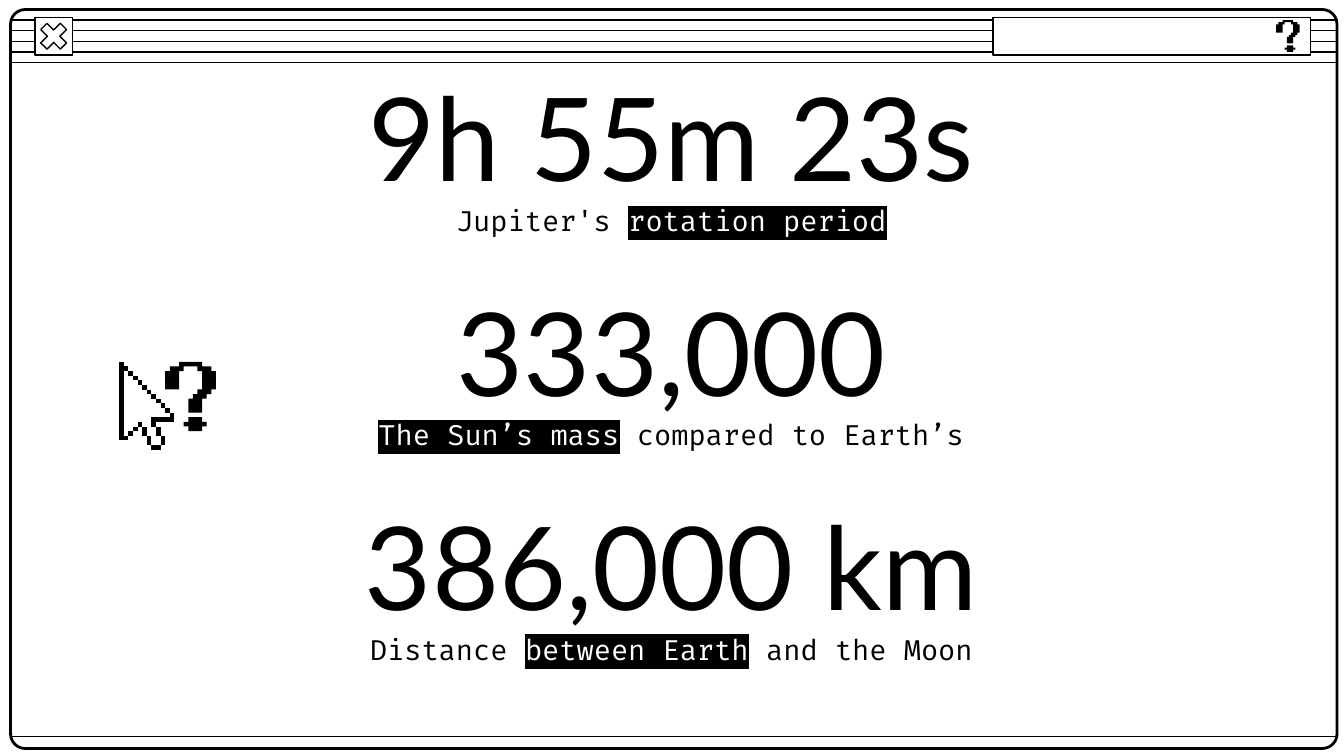
from dataclasses import dataclass

from lxml import etree
from pptx import Presentation
from pptx.dml.color import RGBColor
from pptx.enum.shapes import MSO_CONNECTOR, MSO_SHAPE
from pptx.enum.text import MSO_ANCHOR, MSO_AUTO_SIZE, PP_ALIGN
from pptx.oxml.ns import qn
from pptx.util import Cm, Pt

STRAIGHT = MSO_CONNECTOR.STRAIGHT
RECTANGLE = MSO_SHAPE.RECTANGLE
ROUNDED = MSO_SHAPE.ROUNDED_RECTANGLE
CROSS = MSO_SHAPE.MATH_MULTIPLY
CENTER = PP_ALIGN.CENTER
TITLE_ONLY = 5


@dataclass(frozen=True)
class Theme:
    """Colours, fonts and sizes shared by the slide."""

    ink: RGBColor = RGBColor(0, 0, 0)
    paper: RGBColor = RGBColor(255, 255, 255)
    number_font: str = "Lato"
    caption_font: str = "Fira Code"
    number_size: int = Pt(62)
    caption_size: int = Pt(15)
    thin: int = Pt(0.75)
    thick: int = Pt(1.5)


THEME = Theme()
FRAME_LEFT, FRAME_WIDTH = 0.2, 25.07
TEXT_LEFT, TEXT_WIDTH = 3.56, 18.26
NUMBER_HEIGHT, CAPTION_HEIGHT = 2.13, 1.07
FIRST_TOP, ROW_STEP = 1.5, 4.05
FRAME_FORMAT = {
    "word_wrap": True,
    "auto_size": MSO_AUTO_SIZE.NONE,
    "vertical_anchor": MSO_ANCHOR.MIDDLE,
    "margin_left": Cm(0.25),
    "margin_right": Cm(0.25),
    "margin_top": Cm(0.25),
    "margin_bottom": Cm(0.25),
}
NUMBER_FORMAT = {"name": THEME.number_font, "size": THEME.number_size}
CAPTION_FORMAT = {"name": THEME.caption_font, "size": THEME.caption_size}

FACTS = [
    ("9h 55m 23s", [("Jupiter's ", False), ("rotation period", True)]),
    ("333,000", [("The Sun’s mass", True), (" compared to Earth’s", False)]),
    ("386,000 km", [("Distance ", False), ("between Earth", True),
                    (" and the Moon", False)]),
]

QUESTION_COLUMNS = 11
QUESTION_DOT = [
    (5, 12), (5, 13), (4, 13), (4, 14), (5, 14), (5, 15),
    (8, 15), (8, 14), (9, 14), (9, 13), (8, 13), (8, 12),
]
QUESTION_HOOK = [
    (3, 0), (3, 1), (1, 1), (1, 2), (0, 2), (0, 6), (3, 6), (3, 2),
    (4, 2), (4, 1), (7, 1), (7, 2), (8, 2), (8, 6), (7, 6), (7, 7),
    (6, 7), (6, 8), (5, 8), (5, 11), (8, 11), (8, 8), (9, 8), (9, 7),
    (10, 7), (10, 6), (11, 6), (11, 2), (10, 2), (10, 1), (8, 1), (8, 0),
]
ARROW_BODY = [
    (0, 0), (0, 17), (2, 17), (2, 16), (3, 16), (3, 15), (4, 15), (4, 14),
    (5, 14), (5, 16), (6, 16), (6, 18), (7, 18), (7, 19), (9, 19), (9, 18),
    (10, 18), (10, 16), (9, 16), (9, 14), (8, 14), (8, 13), (12, 13), (12, 11),
] + [point for step in range(11, 0, -1) for point in ((step, step), (step, step - 1))]
ARROW_EDGE = [(0, 0, 1, 17)] + [(step, step, 1, 1) for step in range(1, 12)] + [
    (7, 12, 5, 1), (7, 13, 1, 1), (4, 13, 1, 1), (5, 14, 1, 2),
    (6, 16, 1, 2), (7, 18, 2, 1), (8, 14, 1, 2), (9, 16, 1, 2),
    (3, 14, 1, 1), (2, 15, 1, 1), (1, 16, 1, 1),
]


def apply_format(target, values):
    """Set each named attribute on the target."""
    for name, value in values.items():
        setattr(target, name, value)


def add_rule(shapes, top):
    """Draw a thin line across the window."""
    left, right = Cm(FRAME_LEFT), Cm(FRAME_LEFT + FRAME_WIDTH)
    connector = shapes.add_connector(STRAIGHT, left, Cm(top), right, Cm(top))
    connector.line.color.rgb = THEME.ink
    connector.line.width = THEME.thin
    etree.SubElement(connector._element.spPr, qn("a:effectLst"))


def add_box(shapes, kind, box, width=THEME.thin, filled=True, adjustment=None):
    """Draw an outlined preset shape."""
    shape = shapes.add_shape(kind, *map(Cm, box))
    shape.shadow.inherit = False
    shape.line.color.rgb = THEME.ink
    shape.line.width = width
    if filled:
        shape.fill.solid()
        shape.fill.fore_color.rgb = THEME.paper
    else:
        shape.fill.background()
    if adjustment is not None:
        shape.adjustments[0] = adjustment


def add_pixels(shapes, points, left, top, pixel, color=THEME.ink):
    """Fill an outline given in pixel steps from a corner."""
    builder = shapes.build_freeform(*points[0], scale=pixel)
    builder.add_line_segments(points[1:], close=True)
    shape = builder.convert_to_shape(left, top)
    shape.shadow.inherit = False
    shape.fill.solid()
    shape.fill.fore_color.rgb = color
    shape.line.fill.background()


def add_question(shapes, left, top, pixel):
    """Draw a question mark in pixel steps."""
    for points in (QUESTION_DOT, QUESTION_HOOK):
        add_pixels(shapes, points, left, top, pixel)


def add_pointer(slide, left, top, pixel):
    """Draw the help pointer with its question mark."""
    shapes = slide.shapes.add_group_shape().shapes
    add_pixels(shapes, ARROW_BODY, left, top, pixel, THEME.paper)
    for column, row, width, height in ARROW_EDGE:
        right, bottom = column + width, row + height
        corners = [(column, row), (column, bottom), (right, bottom), (right, row)]
        add_pixels(shapes, corners, left, top, pixel)
    add_question(shapes, left + 10 * pixel, top, pixel)


def add_window(slide):
    """Draw the window frame, its title bar and its controls."""
    bar = slide.shapes.add_group_shape().shapes
    for index in range(5):
        add_rule(bar, 0.38 + 0.2 * index)
    add_box(slide.shapes, ROUNDED, (FRAME_LEFT, 0.18, FRAME_WIDTH, 13.97),
            THEME.thick, filled=False, adjustment=0.02)
    close = slide.shapes.add_group_shape().shapes
    close_box = (0.66, 0.33, 0.71, 0.71)
    add_box(close, RECTANGLE, close_box)
    add_box(close, CROSS, close_box, adjustment=0.235)
    add_rule(slide.shapes, 13.92)
    help_field = slide.shapes.add_group_shape().shapes
    add_box(help_field, RECTANGLE, (18.77, 0.33, 6, 0.71))
    add_question(help_field, Cm(24.12), Cm(0.38), Cm(0.44) // QUESTION_COLUMNS)


def highlight(run):
    """Put an ink-coloured band behind a run."""
    band = etree.Element(qn("a:highlight"))
    etree.SubElement(band, qn("a:srgbClr"), val=str(THEME.ink))
    run.font._element.find(qn("a:solidFill")).addnext(band)


def write_text(shape, top, height, runs, font_format):
    """Place a text shape and write its centred runs."""
    apply_format(shape, {"left": Cm(TEXT_LEFT), "top": Cm(top),
                         "width": Cm(TEXT_WIDTH), "height": Cm(height)})
    apply_format(shape.text_frame, FRAME_FORMAT)
    paragraph = shape.text_frame.paragraphs[0]
    paragraph.alignment = CENTER
    for text, marked in runs:
        run = paragraph.add_run()
        run.text = text
        apply_format(run.font, font_format)
        run.font.color.rgb = THEME.paper if marked else THEME.ink
        if marked:
            highlight(run)


def add_facts(slide):
    """Write each number with its caption below."""
    for index, (number, caption) in enumerate(FACTS):
        top = FIRST_TOP + ROW_STEP * index
        shape = slide.shapes.add_textbox(0, 0, 0, 0) if index else slide.shapes.title
        write_text(shape, top, NUMBER_HEIGHT, [(number, False)], NUMBER_FORMAT)
        write_text(slide.shapes.add_textbox(0, 0, 0, 0), top + NUMBER_HEIGHT,
                   CAPTION_HEIGHT, caption, CAPTION_FORMAT)


def main():
    """Build and save the slide."""
    presentation = Presentation()
    apply_format(presentation, {"slide_width": Cm(25.4), "slide_height": Cm(14.29)})
    slide = presentation.slides.add_slide(presentation.slide_layouts[TITLE_ONLY])
    add_window(slide)
    add_facts(slide)
    add_pointer(slide, Cm(2.25), Cm(6.84), Cm(0.96) // QUESTION_COLUMNS)
    presentation.save("out.pptx")


if __name__ == "__main__":
    main()
